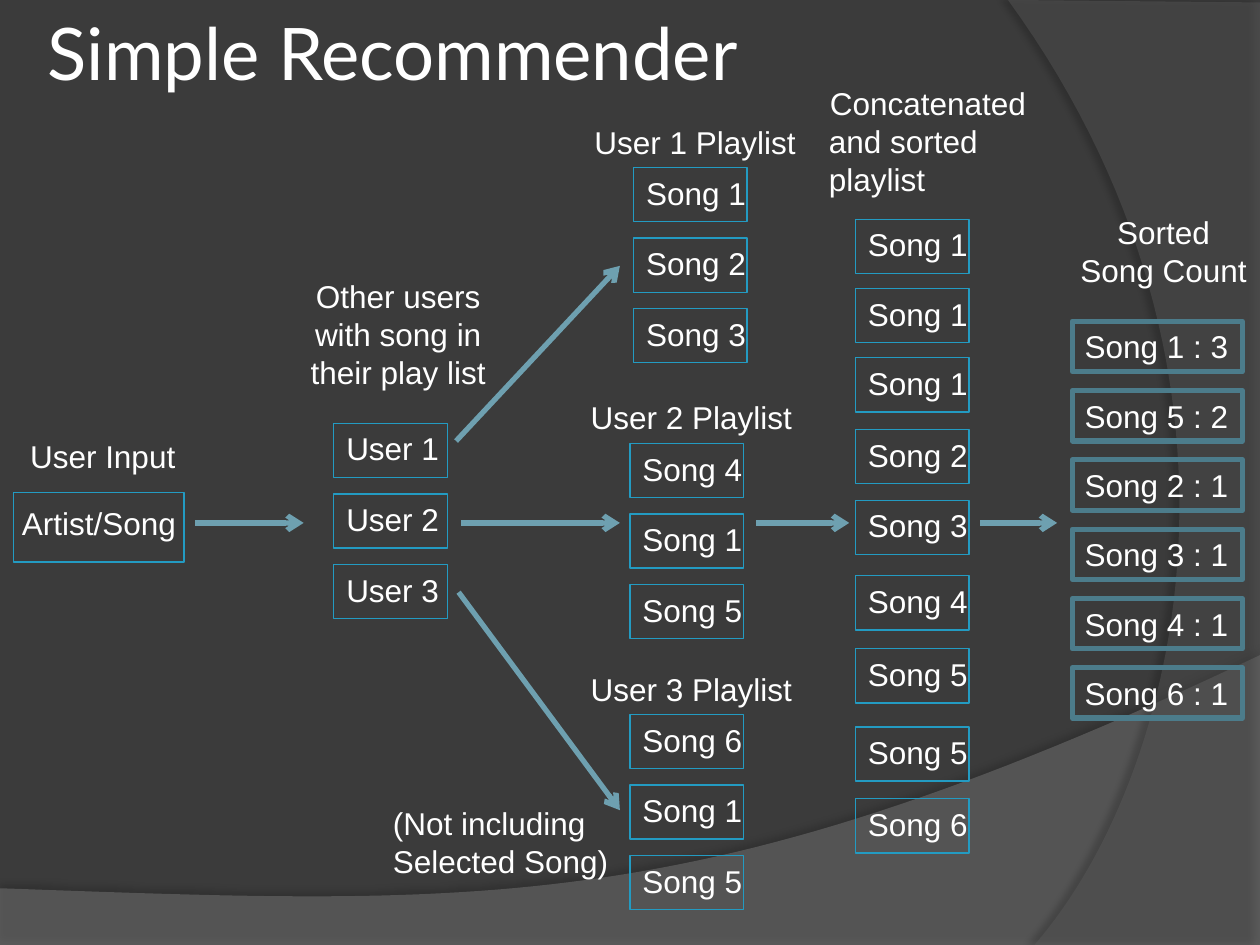
"""Build the Simple Recommender flow slide, from user input to sorted song counts."""
from dataclasses import dataclass

from lxml import etree
from pptx import Presentation
from pptx import util as u
from pptx.dml.color import RGBColor
from pptx.enum import shapes, text
from pptx.oxml import parse_xml
from pptx.oxml.ns import nsdecls, qn


@dataclass(frozen=True)
class Theme:
    background: str = "3B3B3B"
    ink: str = "FFFFFF"
    box: str = "239BC2"
    count: str = "4C7C8B"
    arrow: str = "6EA0B0"
    wave: str = "7F7F7F"
    swoosh: str = "5E5E5E"
    title_font: str = "Lato"
    body_font: str = "Arial"
    title_size: float = 41.4
    body_size: float = 18
    thin: float = 0.75
    thick: float = 3


theme = Theme()
deck = Presentation()
deck.slide_width, deck.slide_height = u.Inches(10), u.Inches(7.5)
COL, ROW = deck.slide_width / 10, deck.slide_height / 7.5
slide = deck.slides.add_slide(deck.slide_layouts[6])
slide.background.fill.solid()
slide.background.fill.fore_color.rgb = RGBColor.from_string(theme.background)


def write(shape, words, align=text.PP_ALIGN.LEFT, wrap=True, margins=(0.1, 0.05, 0.1, 0.05),
          font=theme.body_font, size=theme.body_size):
    frame = shape.text_frame
    frame.text = words
    frame.word_wrap = wrap
    frame.vertical_anchor = text.MSO_ANCHOR.TOP
    frame.margin_left, frame.margin_top, frame.margin_right, frame.margin_bottom = (
        u.Inches(margin) for margin in margins)
    for paragraph in frame.paragraphs:
        paragraph.alignment = align
        paragraph.font.name = font
        paragraph.font.size = u.Pt(size)
        paragraph.font.color.rgb = RGBColor.from_string(theme.ink)
    return frame


def add_box(words, left, top, width=0.9, height=0.43, color=theme.box, weight=theme.thin, **style):
    box = slide.shapes.add_shape(shapes.MSO_SHAPE.RECTANGLE, int(left * COL), int(top * ROW),
                                 int(width * COL), int(height * ROW))
    box.shadow.inherit = False
    box.fill.background()
    box.line.color.rgb = RGBColor.from_string(color)
    box.line.width = u.Pt(weight)
    write(box, words, **style)


wave_edge = [(10, 5.2), (5.59, 7.29), (3.91, 7.19), (0, 7.05)]
swoosh_edge = [(8.21, 7.5), (9.35, 6.19), (10.18, 3), (8, 0)]
STEPS = 60
for edge, corners, color, opacity, shade, distance, direction in (
    (wave_edge, [(0, 7.5), (10, 7.5)], theme.wave, 45, 35, 3.5, 270),
    (swoosh_edge, [(10, 0.02), (10, 7.5)], theme.swoosh, 40, 45, 4, 180),
):
    curve = []
    for step in range(STEPS + 1):
        t = step / STEPS
        weights = ((1 - t) ** 3, 3 * t * (1 - t) ** 2, 3 * t * t * (1 - t), t ** 3)
        curve.append(tuple(sum(w * point[axis] for w, point in zip(weights, edge)) for axis in (0, 1)))
    outline = [(int(x * COL), int(y * ROW)) for x, y in curve + corners]
    builder = slide.shapes.build_freeform(*outline[0])
    builder.add_line_segments(outline[1:], close=True)
    band = builder.convert_to_shape()
    band.line.fill.background()
    band.fill.solid()
    band.fill.fore_color.rgb = RGBColor.from_string(color)
    tint = band.fill._xPr.find(qn("a:solidFill"))[0]
    etree.SubElement(tint, qn("a:alpha")).set("val", str(opacity * 1000))
    band._element.spPr.append(parse_xml(
        f'<a:effectLst {nsdecls("a")}><a:outerShdw blurRad="{u.Pt(4)}" dist="{u.Pt(distance)}" '
        f'dir="{direction * 60000}" algn="ctr" rotWithShape="0"><a:srgbClr val="000000">'
        f'<a:alpha val="{shade * 1000}"/></a:srgbClr></a:outerShdw></a:effectLst>'))

title = slide.shapes.add_textbox(int(0.33 * COL), int(0.03 * ROW), int(8.17 * COL), int(0.76 * ROW))
title_frame = write(title, "Simple Recommender", margins=(0.05,) * 4,
                    font=theme.title_font, size=theme.title_size)
title_frame.vertical_anchor = text.MSO_ANCHOR.MIDDLE

CENTER, LEFT = text.PP_ALIGN.CENTER, text.PP_ALIGN.LEFT
for words, left, top, width, height, align, wrap in (
    ("User Input", 0.14, 3.42, 1.78, 0.4, LEFT, True),
    ("Other users with song in their play list", 2.19, 2.15, 1.94, 1.01, CENTER, True),
    ("User 1 Playlist", 4.62, 0.93, 1.86, 0.4, LEFT, True),
    ("User 2 Playlist", 4.59, 3.11, 1.86, 0.4, LEFT, True),
    ("User 3 Playlist", 4.59, 5.27, 1.86, 0.4, LEFT, True),
    ("(Not including\nSelected Song)", 3.02, 6.33, 1.93, 0.71, LEFT, False),
    ("Concatenated\nand sorted\nplaylist", 6.48, 0.62, 1.77, 1.01, LEFT, False),
    ("Sorted Song Count", 8.47, 1.64, 1.53, 0.71, CENTER, True),
):
    label = slide.shapes.add_textbox(int(left * COL), int(top * ROW), int(width * COL), int(height * ROW))
    label_frame = write(label, words, align, wrap)
    if words.startswith("Concatenated"):
        label_frame.paragraphs[0].alignment = CENTER

add_box("Artist/Song", 0.11, 3.91, 1.35, 0.55, align=CENTER, margins=(0, 0.09, 0, 0))

STACK_STEP = 0.56
for names, left, top in (
    (("User 1", "User 2", "User 3"), 2.65, 3.36),
    (("Song 1", "Song 2", "Song 3"), 5.03, 1.33),
    (("Song 4", "Song 1", "Song 5"), 5.0, 3.52),
    (("Song 6", "Song 1", "Song 5"), 5.0, 5.67),
):
    for place, name in enumerate(names):
        add_box(name, left, top + place * STACK_STEP, margins=(0.1, 0.05, 0, 0))

merged_tops = (1.74, 2.29, 2.84, 3.41, 3.97, 4.57, 5.15, 5.77, 6.34)
for number, top in zip((1, 1, 1, 2, 3, 4, 5, 5, 6), merged_tops):
    add_box(f"Song {number}", 6.79, top, margins=(0.1, 0.05, 0, 0))

COUNT_STEP = 0.55
for place, (number, plays) in enumerate(((1, 3), (5, 2), (2, 1), (3, 1), (4, 1), (6, 1))):
    add_box(f"Song {number} : {plays}", 8.51, 2.55 + place * COUNT_STEP, 1.35, 0.4,
            theme.count, theme.thick)

for x1, y1, x2, y2 in (
    (1.55, 4.15, 2.41, 4.15),
    (3.62, 3.5, 4.92, 2.11),
    (3.66, 4.15, 4.92, 4.15),
    (3.64, 4.7, 4.92, 6.43),
    (6, 4.15, 6.74, 4.15),
    (7.78, 4.15, 8.39, 4.15),
):
    arrow = slide.shapes.add_connector(shapes.MSO_CONNECTOR.STRAIGHT, int(x1 * COL), int(y1 * ROW),
                                       int(x2 * COL), int(y2 * ROW))
    arrow.line.color.rgb = RGBColor.from_string(theme.arrow)
    arrow.line.width = u.Pt(theme.thick)
    etree.SubElement(arrow.line._get_or_add_ln(), qn("a:tailEnd")).set("type", "arrow")
    etree.SubElement(arrow._element.spPr, qn("a:effectLst"))

deck.save("out.pptx")
